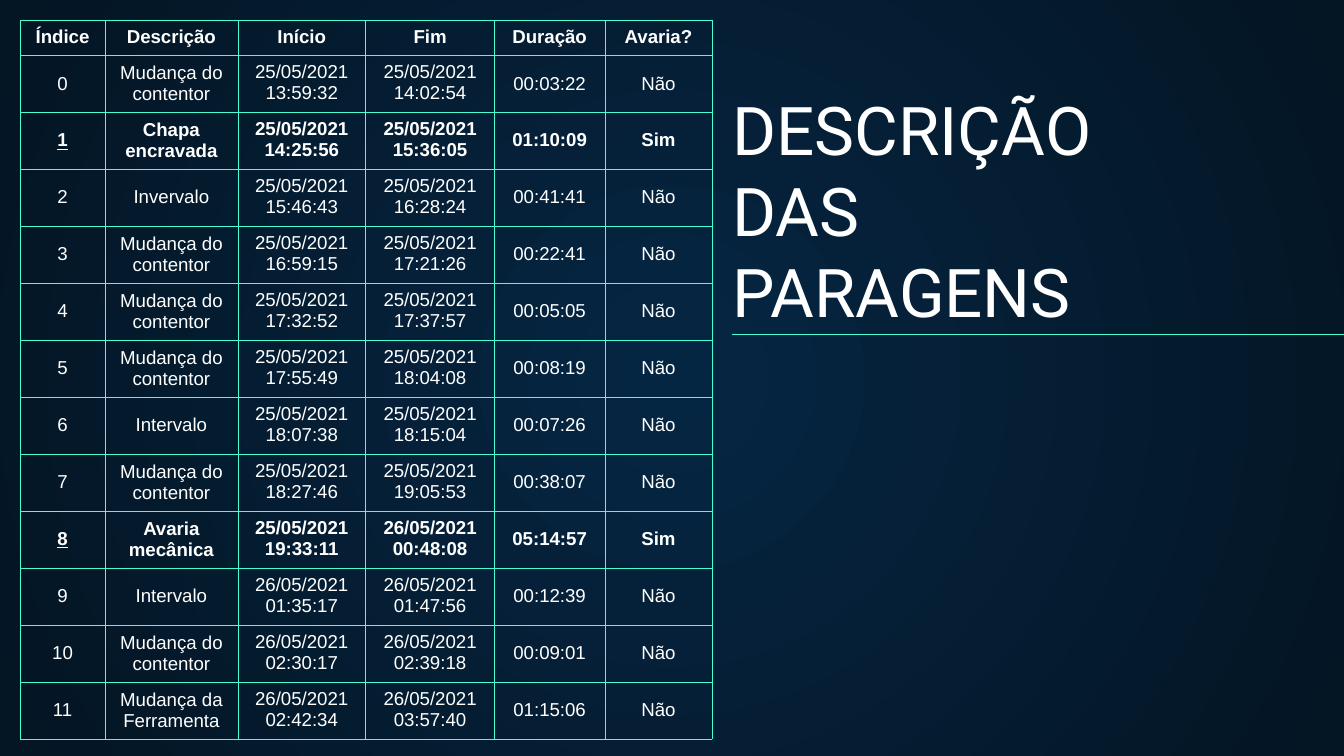
"""Build the slide that lists the production stops in a table."""
from lxml import etree
from pptx import Presentation
from pptx.dml.color import RGBColor
from pptx.enum.shapes import MSO_CONNECTOR
from pptx.enum.text import MSO_ANCHOR, MSO_AUTO_SIZE, PP_ALIGN
from pptx.oxml.ns import qn
from pptx.util import Inches, Pt

STRAIGHT = MSO_CONNECTOR.STRAIGHT
TOP, MIDDLE, BOTTOM = MSO_ANCHOR.TOP, MSO_ANCHOR.MIDDLE, MSO_ANCHOR.BOTTOM
LEFT, CENTER = PP_ALIGN.LEFT, PP_ALIGN.CENTER
NO_AUTOFIT = MSO_AUTO_SIZE.NONE
WHITE, MINT = "FFFFFF", "48FFD5"

HEADERS = ["Índice", "Descrição", "Início", "Fim", "Duração", "Avaria?"]
CONTAINER = "Mudança do contentor"
DAY, NEXT_DAY = "25/05/2021", "26/05/2021"
STOPS = [
    (CONTAINER, DAY, "13:59:32", DAY, "14:02:54", "00:03:22", "Não"),
    ("Chapa encravada", DAY, "14:25:56", DAY, "15:36:05", "01:10:09", "Sim"),
    ("Invervalo", DAY, "15:46:43", DAY, "16:28:24", "00:41:41", "Não"),
    (CONTAINER, DAY, "16:59:15", DAY, "17:21:26", "00:22:41", "Não"),
    (CONTAINER, DAY, "17:32:52", DAY, "17:37:57", "00:05:05", "Não"),
    (CONTAINER, DAY, "17:55:49", DAY, "18:04:08", "00:08:19", "Não"),
    ("Intervalo", DAY, "18:07:38", DAY, "18:15:04", "00:07:26", "Não"),
    (CONTAINER, DAY, "18:27:46", DAY, "19:05:53", "00:38:07", "Não"),
    ("Avaria mecânica", DAY, "19:33:11", NEXT_DAY, "00:48:08", "05:14:57", "Sim"),
    ("Intervalo", NEXT_DAY, "01:35:17", NEXT_DAY, "01:47:56", "00:12:39", "Não"),
    (CONTAINER, NEXT_DAY, "02:30:17", NEXT_DAY, "02:39:18", "00:09:01", "Não"),
    ("Mudança da Ferramenta", NEXT_DAY, "02:42:34", NEXT_DAY, "03:57:40", "01:15:06", "Não"),
]
COLUMN_WIDTHS = [0.63, 0.99, 0.95, 0.96, 0.82, 0.8]
DATE_COLUMNS = (2, 3)
TABLE_HEIGHT, HEADER_HEIGHT = 5.35, 0.26


def color(hex_string):
    return RGBColor.from_string(hex_string)


def write_lines(text_frame, lines, alignment, font_name, size, bold=False, underline=False):
    for number, line in enumerate(lines):
        paragraph = text_frame.add_paragraph() if number else text_frame.paragraphs[0]
        paragraph.alignment = alignment
        run = paragraph.add_run()
        run.text = line
        run.font.name = font_name
        run.font.size = Pt(size)
        run.font.bold = bold
        run.font.underline = underline
        run.font.color.rgb = color(WHITE)


presentation = Presentation()
presentation.slide_width, presentation.slide_height = Inches(10), Inches(10 * 9 / 16)
slide = presentation.slides.add_slide(presentation.slide_layouts[5])

background = slide.background.fill
background.gradient()
for stop, position, shade in zip(background.gradient_stops, (0, 1), ("052643", "041523")):
    stop.position = position
    stop.color.rgb = color(shade)
gradient = slide.element.find(".//" + qn("a:gradFill"))
gradient.remove(gradient.find(qn("a:lin")))
circle = etree.SubElement(gradient, qn("a:path"), path="circle")
etree.SubElement(circle, qn("a:fillToRect"), l="50000", t="50000", r="50000", b="50000")

title = slide.shapes.title
title.left, title.top = Inches(5.35), Inches(1.9)
title.width, title.height = Inches(4.15), Inches(0.66)
title_frame = title.text_frame
title_frame.auto_size = NO_AUTOFIT
title_frame.word_wrap = True
title_frame.vertical_anchor = BOTTOM
title_frame.margin_left = title_frame.margin_right = Inches(0.1)
title_frame.margin_top = title_frame.margin_bottom = Inches(0.1)
write_lines(title_frame, ["DESCRIÇÃO", "DAS", "PARAGENS"], LEFT, "Roboto", 36)

title_rule = slide.shapes.add_connector(
    STRAIGHT, Inches(5.45), Inches(2.49), Inches(10.31), Inches(2.49))
title_rule.line.color.rgb = color(MINT)
title_rule.line.width = Pt(0.75)
etree.SubElement(title_rule.element.spPr, qn("a:effectLst"))

rows = [[[header] for header in HEADERS]]
for index, (reason, start_day, start, end_day, end, duration, failure) in enumerate(STOPS):
    rows.append([[str(index)], [reason], [start_day, start], [end_day, end], [duration], [failure]])

table = slide.shapes.add_table(
    len(rows), len(HEADERS), Inches(0.15), Inches(0.15),
    Inches(sum(COLUMN_WIDTHS)), Inches(TABLE_HEIGHT)).table
table.first_row = table.horz_banding = False
for column, width in zip(table.columns, COLUMN_WIDTHS):
    column.width = Inches(width)

stop_height = (TABLE_HEIGHT - HEADER_HEIGHT) / len(STOPS)
for row_number, row in enumerate(rows):
    is_header = row_number == 0
    is_failure = row[-1] == ["Sim"]
    table.rows[row_number].height = Inches(HEADER_HEIGHT if is_header else stop_height)
    for column_number, lines in enumerate(row):
        cell = table.cell(row_number, column_number)
        cell.vertical_anchor = TOP if is_header or column_number in DATE_COLUMNS else MIDDLE
        cell.margin_left = cell.margin_right = Inches(0.1)
        cell.margin_top = cell.margin_bottom = Inches(0.05)
        write_lines(cell.text_frame, lines, CENTER, "Arial", 10,
                    bold=is_header or is_failure,
                    underline=is_failure and column_number == 0)
        properties = cell._tc.get_or_add_tcPr()
        for side in ("a:lnL", "a:lnR", "a:lnT", "a:lnB"):
            border = etree.SubElement(properties, qn(side), w=str(Pt(0.06)))
            border_fill = etree.SubElement(border, qn("a:solidFill"))
            etree.SubElement(border_fill, qn("a:srgbClr"), val=MINT)
        cell.fill.background()

presentation.save("out.pptx")
